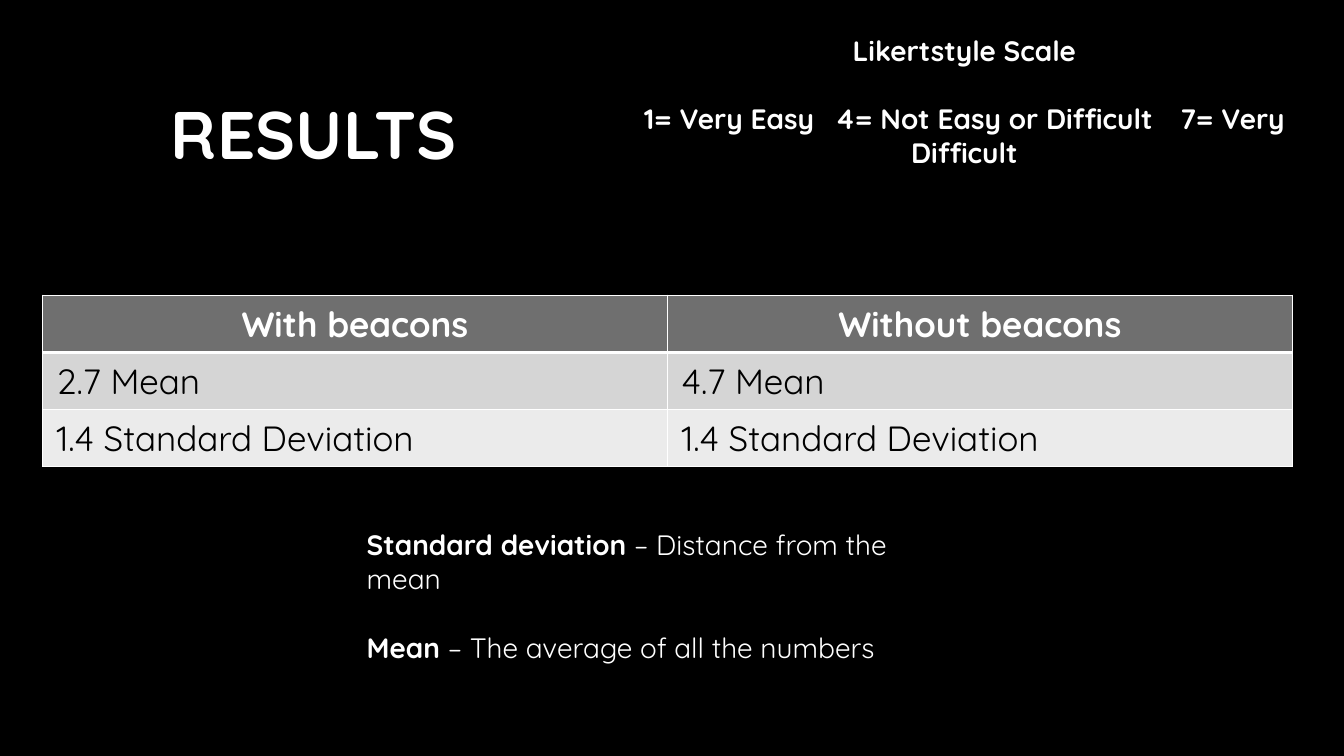
import pptx
import pptx.dml.color
import pptx.enum.text
import pptx.oxml
import pptx.oxml.ns
import pptx.util
from dataclasses import dataclass

Cm, Pt = pptx.util.Cm, pptx.util.Pt
RGB = pptx.dml.color.RGBColor.from_string
ALIGN, ANCHOR = pptx.enum.text.PP_ALIGN, pptx.enum.text.MSO_ANCHOR


@dataclass(frozen=True)
class Theme:
    font: str = "Quicksand"
    background: str = "000000"
    light: str = "FFFFFF"
    dark: str = "000000"
    row_fills: tuple = ("6F6F6F", "D5D5D5", "EBEBEB")
    title_size: float = 48
    table_size: float = 25
    note_size: float = 20


theme = Theme()


def add_run(paragraph, text, size, bold=False, color=theme.light):
    run = paragraph.add_run()
    run.text = text
    run.font.name = theme.font
    run.font.size = Pt(size)
    run.font.bold = bold
    run.font.color.rgb = RGB(color)
    return run


def add_text_frame(left, top, width, height):
    frame = slide.shapes.add_textbox(Cm(left), Cm(top), Cm(width), Cm(height)).text_frame
    frame.word_wrap = True
    return frame


presentation = pptx.Presentation()
presentation.slide_width, presentation.slide_height = Cm(33.87), Cm(19.05)
slide = presentation.slides.add_slide(presentation.slide_layouts[6])
slide.background.fill.solid()
slide.background.fill.fore_color.rgb = RGB(theme.background)

# Title
title = add_text_frame(4.06, 0.71, 7.88, 5.28)
title.vertical_anchor = ANCHOR.MIDDLE
add_run(title.paragraphs[0], "RESULTS", theme.title_size, bold=True)

# Rating scale: each step is followed by a widened space
scale = add_text_frame(15.49, 0.71, 17.63, 3.68)
scale_name, scale_steps = scale.paragraphs[0], scale.add_paragraph()
scale_name.alignment = scale_steps.alignment = ALIGN.CENTER
scale_steps.space_before = Pt(25)
add_run(scale_name, "Likertstyle Scale", theme.note_size, bold=True)
for step, gap in (("1= Very Easy", 9.5), ("4= Not Easy or Difficult", 14), ("7= Very Difficult", 0)):
    add_run(scale_steps, step, theme.note_size, bold=True)
    if gap:
        space = add_run(scale_steps, " ", theme.note_size, bold=True)
        space.font._element.set("spc", str(int(gap * 100)))

# Results table
results = (
    ("With beacons", "Without beacons"),
    ("2.7 Mean", "4.7 Mean"),
    ("1.4 Standard Deviation", "1.4 Standard Deviation"),
)
table = slide.shapes.add_table(3, 2, Cm(1.07), Cm(7.44), Cm(31.5), Cm(4.32)).table
for column in table.columns:
    column.width = Cm(15.75)
for row_index, row in enumerate(results):
    is_header = row_index == 0
    table.rows[row_index].height = Cm(1.44)
    for column_index, text in enumerate(row):
        cell = table.cell(row_index, column_index)
        cell.margin_left = cell.margin_right = Cm(0.36)
        cell.margin_top = cell.margin_bottom = Cm(0.18)
        cell.fill.solid()
        cell.fill.fore_color.rgb = RGB(theme.row_fills[row_index])
        paragraph = cell.text_frame.paragraphs[0]
        paragraph.alignment = ALIGN.CENTER if is_header else ALIGN.LEFT
        add_run(paragraph, text, theme.table_size, is_header,
                theme.light if is_header else theme.dark)

        # Cell borders, heavier under the header
        widths = {"L": 1, "R": 1, "T": 3 if row_index == 1 else 1, "B": 3 if is_header else 1}
        properties = cell._tc.get_or_add_tcPr()
        for position, (side, width) in enumerate(widths.items()):
            properties.insert(position, pptx.oxml.parse_xml(
                f'<a:ln{side} {pptx.oxml.ns.nsdecls("a")} w="{Pt(width)}"><a:solidFill>'
                f'<a:srgbClr val="{theme.light}"/></a:solidFill></a:ln{side}>'))

# Definitions
definitions = add_text_frame(8.99, 13.18, 15.66, 3.68)
deviation, mean = definitions.paragraphs[0], definitions.add_paragraph()
mean.space_before = Pt(25)
for paragraph, term, meaning in (
    (deviation, "Standard deviation ", "– Distance from the mean"),
    (mean, "Mean", " – The average of all the numbers"),
):
    add_run(paragraph, term, theme.note_size, bold=True)
    add_run(paragraph, meaning, theme.note_size)

presentation.save("out.pptx")
